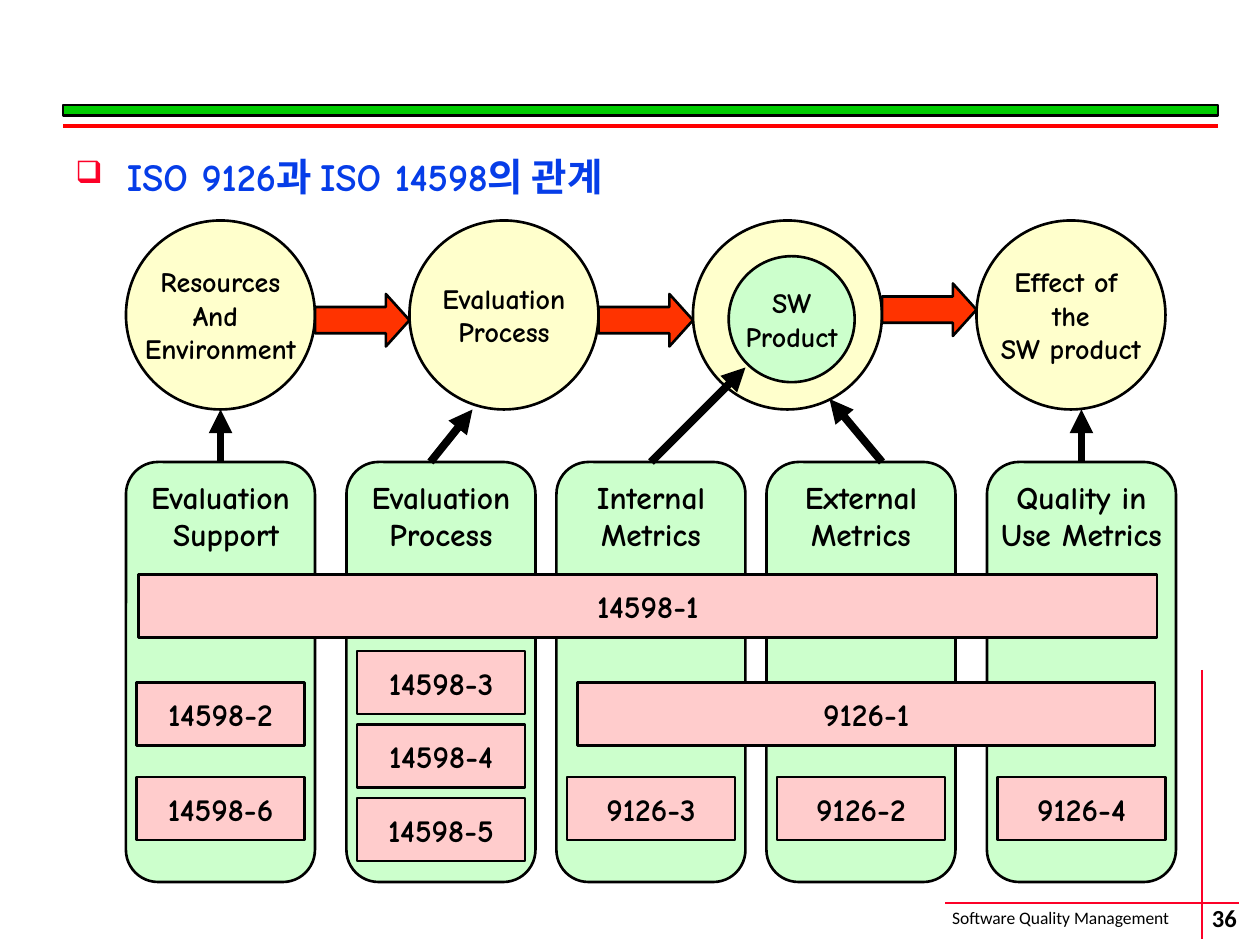
from lxml.etree import SubElement
from pptx import Presentation
from pptx.dml.color import RGBColor
from pptx.enum.shapes import MSO_CONNECTOR, MSO_SHAPE
from pptx.enum.text import MSO_ANCHOR, PP_ALIGN
from pptx.oxml.ns import qn
from pptx.util import Emu, Pt

PX = 7620  # 120 px to the inch
COLORS = {
    "black": "000000", "blue": "063DE8", "crimson": "FC0128", "red": "FF0000",
    "bar": "00CC00", "arrow": "FF3300", "cream": "FFFFCC", "mint": "CCFFCC",
    "pink": "FFCCCC",
}

presentation = Presentation()
presentation.slide_width = Emu(1200 * PX)
presentation.slide_height = Emu(900 * PX)
slide = presentation.slides.add_slide(presentation.slide_layouts[6])


def add_item(left, top, width, height, text="", kind=None, fill=None, size=18,
             font="Comic Neue", color="black", bold=True, wrap=False,
             align=PP_ALIGN.CENTER, anchor=MSO_ANCHOR.MIDDLE, bullet=None):
    """Add an outlined shape of the given kind, or a text box if kind is None."""
    box = [Emu(value * PX) for value in (left, top, width, height)]
    if kind is None:
        shape = slide.shapes.add_textbox(*box)
    else:
        shape = slide.shapes.add_shape(kind, *box)
        shape.shadow.inherit = False
        shape.fill.solid()
        shape.fill.fore_color.rgb = RGBColor.from_string(COLORS[fill])
        shape.line.color.rgb = RGBColor.from_string(COLORS["black"])
        shape.line.width = Pt(1.5)
    if not text:
        return shape
    frame = shape.text_frame
    frame.word_wrap = wrap
    frame.vertical_anchor = anchor
    frame.text = text
    for paragraph in frame.paragraphs:
        paragraph.alignment = align
        if bullet:
            properties = paragraph._p.get_or_add_pPr()
            properties.set("marL", str(49 * PX))
            properties.set("indent", str(-49 * PX))
            bullet_color = SubElement(properties, qn("a:buClr"))
            SubElement(bullet_color, qn("a:srgbClr"), val=COLORS["crimson"])
            SubElement(properties, qn("a:buSzPct"), val="80000")
            SubElement(properties, qn("a:buChar"), char=bullet)
        for run in paragraph.runs:
            run.font.name = font
            run.font.size = Pt(size)
            run.font.bold = bold
            run.font.color.rgb = RGBColor.from_string(COLORS[color])
    return shape


def add_line(start, end, color, width, arrow=False):
    points = [Emu(value * PX) for value in (*start, *end)]
    line = slide.shapes.add_connector(MSO_CONNECTOR.STRAIGHT, *points)
    line.line.color.rgb = RGBColor.from_string(COLORS[color])
    line.line.width = Pt(width)
    if arrow:
        SubElement(line.line._get_or_add_ln(), qn("a:tailEnd"), type="triangle")
    SubElement(line._element.spPr, qn("a:effectLst"))
    return line


# Slide frame
add_line((900, 860), (1180, 860), "crimson", 1)
add_item(895, 858, 263, 32, "Software Quality Management", size=10, font="Calibri",
         bold=False, align=PP_ALIGN.LEFT, anchor=MSO_ANCHOR.TOP)
add_line((1145, 638), (1145, 894), "crimson", 1)
add_item(1132, 857, 68, 34, "36", size=14, font="Calibri")
add_item(60, 100, 1100, 10, kind=MSO_SHAPE.RECTANGLE, fill="bar")
add_line((60, 120), (1160, 120), "red", 2.25)

add_item(60, 140, 1100, 722, "ISO 9126과 ISO 14598의 관계", size=22, color="blue",
         wrap=True, align=PP_ALIGN.LEFT, anchor=MSO_ANCHOR.TOP, bullet="❑")

# Circles along the top
circle_texts = ["Resources\nAnd \nEnvironment", "Evaluation\nProcess", "",
                "Effect of \nthe\nSW product"]
for index, text in enumerate(circle_texts):
    add_item(120 + 270 * index, 210, 180, 180, text, kind=MSO_SHAPE.OVAL,
             fill="cream", size=16)
add_item(694, 244, 120, 120, "SW\nProduct", kind=MSO_SHAPE.OVAL, fill="mint", size=16)

# Columns
columns = []
for left, text in [(120, "Evaluation\n Support"), (330, "Evaluation\nProcess"),
                   (530, "Internal\nMetrics"), (730, "External\nMetrics"),
                   (940, "Quality in\nUse Metrics")]:
    column = add_item(left, 440, 180, 400, text, kind=MSO_SHAPE.ROUNDED_RECTANGLE,
                      fill="mint", anchor=MSO_ANCHOR.TOP)
    column.adjustments[0] = 0.17
    columns.append(column)

# Standards
for left, top, width, text in [
    (132, 547, 970, "14598-1"),
    (130, 650, 160, "14598-2"), (130, 740, 160, "14598-6"),
    (340, 620, 160, "14598-3"), (340, 690, 160, "14598-4"), (340, 760, 160, "14598-5"),
    (540, 740, 160, "9126-3"), (740, 740, 160, "9126-2"), (950, 740, 160, "9126-4"),
    (550, 650, 550, "9126-1"),
]:
    add_item(left, top, width, 60, text, kind=MSO_SHAPE.RECTANGLE, fill="pink")

# Arrows between circles
for left, top in [(300, 280), (570, 280), (840, 270)]:
    block_arrow = add_item(left, top, 90, 50, kind=MSO_SHAPE.RIGHT_ARROW, fill="arrow")
    block_arrow.adjustments[1] = 0.45

# Arrows from columns to circles; some start at the middle of the column's top
for column, start_x, end, centred in [
    (columns[0], 210, (210, 390), True),
    (columns[1], 410, (450, 390), False),
    (columns[2], 620, (710, 350), True),
    (columns[3], 840, (790, 380), False),
    (columns[4], 1030, (1030, 390), True),
]:
    arrow = add_line((start_x, 440), end, "black", 4.5, arrow=True)
    if centred:
        arrow.begin_connect(column, 0)

presentation.save("out.pptx")
